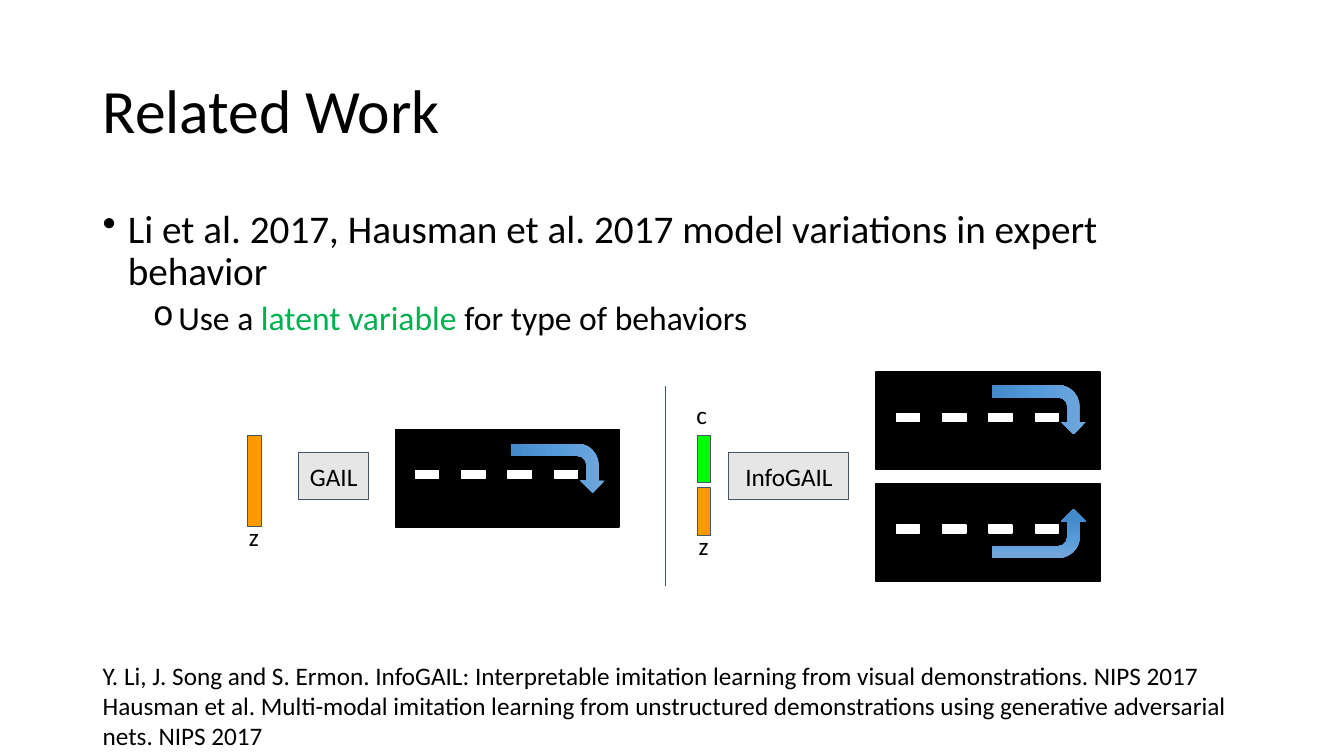
from lxml import etree
from pptx import Presentation
from pptx.dml.color import RGBColor
from pptx.enum.shapes import MSO_CONNECTOR, MSO_SHAPE
from pptx.enum.text import MSO_ANCHOR, PP_ALIGN
from pptx.oxml import parse_xml
from pptx.oxml.ns import nsdecls, qn
from pptx.util import Inches, Pt

COLORS = {
    "text": "000000", "latent": "00B050", "outline": "44546A",
    "noise": "FF9900", "code": "00FF00", "model": "E7E6E6",
    "road": "000000", "lane": "FFFFFF",
    "arrow_light": "71A6DB", "arrow_mid": "559BDB", "arrow_dark": "448ACA",
}
FONT = "Calibri"

TITLE = "Related Work"
CLAIM = "Li et al. 2017, Hausman et al. 2017 model variations in expert behavior"
METHOD = [("Use a ", "text"), ("latent variable ", "latent"),
          ("for type of behaviors", "text")]
REFERENCES = [
    "Y. Li, J. Song and S. Ermon. InfoGAIL: Interpretable imitation learning "
    "from visual demonstrations. NIPS 2017",
    "Hausman et al. Multi-modal imitation learning from unstructured "
    "demonstrations using generative adversarial nets. NIPS 2017",
]

# left, top, height, color
INPUT_BARS = [(2.46, 4.32, 0.9, "noise"), (6.92, 4.84, 0.47, "noise"),
              (6.92, 4.32, 0.47, "code")]
INPUT_LABELS = [("z", 2.37, 5.07), ("z", 6.83, 5.16), ("c", 6.81, 3.86)]
# name, left, width
MODELS = [("GAIL", 2.96, 0.7), ("InfoGAIL", 7.23, 1.19)]
# road left, road top, arrow top, turns up
ROADS = [(3.92, 4.26, 4.18, False), (8.69, 3.69, 3.6, False),
         (8.69, 4.8, 4.83, True)]

BAR_W, MODEL_TOP, MODEL_H = 0.13, 4.49, 0.47
ROAD_W, ROAD_H = 2.22, 0.97
LANE_MARKS, LANE_X, LANE_Y, LANE_STEP = 4, 0.2, 0.41, 0.46
LANE_W, LANE_H = 0.23, 0.08
ARROW_X, ARROW_W, ARROW_H = 1.37, 0.49, 0.93

prs = Presentation()
prs.slide_width, prs.slide_height = Inches(13.33), Inches(7.5)
slide = prs.slides.add_slide(prs.slide_layouts[6])


def rgb(name):
    return RGBColor.from_string(COLORS[name])


def set_font(font, size, color="text"):
    font.name, font.size = FONT, Pt(size)
    font.color.rgb = rgb(color)


def set_margins(frame, margin):
    frame.margin_left = frame.margin_right = Inches(margin)
    frame.margin_top = frame.margin_bottom = Inches(margin)


def add_text(left, top, width, height):
    frame = slide.shapes.add_textbox(
        Inches(left), Inches(top), Inches(width), Inches(height)).text_frame
    frame.word_wrap = True
    return frame


def add_box(left, top, width, height, fill, line="outline", weight=0.75):
    box = slide.shapes.add_shape(MSO_SHAPE.RECTANGLE, Inches(left), Inches(top),
                                 Inches(width), Inches(height))
    box.shadow.inherit = False
    box.fill.solid()
    box.fill.fore_color.rgb = rgb(fill)
    box.line.color.rgb = rgb(line)
    box.line.width = Pt(weight)
    return box


def add_bullet(paragraph, char, left):
    props = paragraph._p.get_or_add_pPr()
    props.set("marL", str(Inches(left)))
    props.set("indent", str(Inches(-0.25)))
    etree.SubElement(props, qn("a:buChar")).set("char", char)
    paragraph.line_spacing = 0.9


def add_turn_arrow(left, top, turns_up):
    arrow = slide.shapes.add_shape(MSO_SHAPE.BENT_ARROW, Inches(left), Inches(top),
                                   Inches(ARROW_W), Inches(ARROW_H))
    arrow.rotation = 90
    arrow.line.fill.background()
    if turns_up:
        arrow._element.spPr.find(qn("a:xfrm")).set("flipH", "1")
    positions, angle = ((6, 40, 81), 0) if turns_up else ((0, 50, 100), 90)
    shades = ("arrow_light", "arrow_mid", "arrow_dark")
    stops = "".join(
        f'<a:gs pos="{pos * 1000}"><a:srgbClr val="{COLORS[shade]}"/></a:gs>'
        for pos, shade in zip(positions, shades))
    gradient = parse_xml(
        f'<a:gradFill {nsdecls("a")} rotWithShape="1"><a:gsLst>{stops}</a:gsLst>'
        f'<a:lin ang="{angle * 60000}" scaled="0"/></a:gradFill>')
    shadow = parse_xml(
        f'<a:effectLst {nsdecls("a")}><a:outerShdw blurRad="{Pt(4.5)}" '
        f'dist="{Pt(1.5)}" dir="5400000" algn="ctr" rotWithShape="0">'
        '<a:srgbClr val="000000"><a:alpha val="63000"/></a:srgbClr>'
        '</a:outerShdw></a:effectLst>')
    props = arrow._element.spPr
    props.find(qn("a:prstGeom")).addnext(gradient)
    props.append(shadow)


title = add_text(0.92, 0.4, 11.5, 1.45)
title.vertical_anchor = MSO_ANCHOR.MIDDLE
title.text = TITLE
title.paragraphs[0].line_spacing = 0.9
set_font(title.paragraphs[0].font, 44)

body = add_text(0.92, 2.03, 11.5, 4.76)
claim = body.paragraphs[0]
claim.text = CLAIM
add_bullet(claim, "•", 0.25)
set_font(claim.font, 28)
method = body.add_paragraph()
method.level = 1
add_bullet(method, "o", 0.75)
method.space_before = Pt(5)
for words, color in METHOD:
    run = method.add_run()
    run.text = words
    set_font(run.font, 24, color)

references = add_text(0.92, 6.5, 11.5, 1.01)
references.text = "\n".join(REFERENCES)
for reference in references.paragraphs:
    set_font(reference.font, 18)

for left, top, height, color in INPUT_BARS:
    add_box(left, top, BAR_W, height, color)

for letter, left, top in INPUT_LABELS:
    label = add_text(left, top, 0.34, 0.41)
    set_margins(label, 0.1)
    label.text = letter
    set_font(label.paragraphs[0].font, 18)

for name, left, width in MODELS:
    model = add_box(left, MODEL_TOP, width, MODEL_H, "model").text_frame
    set_margins(model, 0.1)
    model.vertical_anchor = MSO_ANCHOR.MIDDLE
    model.text = name
    model.paragraphs[0].alignment = PP_ALIGN.CENTER
    set_font(model.paragraphs[0].font, 18)

divider = slide.shapes.add_connector(MSO_CONNECTOR.STRAIGHT, Inches(6.6), Inches(3.83),
                                     Inches(6.6), Inches(5.81))
divider.line.color.rgb = rgb("outline")
divider.line.width = Pt(0.75)
etree.SubElement(divider._element.spPr, qn("a:effectLst"))

for left, top, arrow_top, turns_up in ROADS:
    add_box(left, top, ROAD_W, ROAD_H, "road", "road", 1)
    for mark in range(LANE_MARKS):
        add_box(left + LANE_X + mark * LANE_STEP, top + LANE_Y,
                LANE_W, LANE_H, "lane", "lane", 1)
    add_turn_arrow(left + ARROW_X, arrow_top, turns_up)

prs.save("out.pptx")
